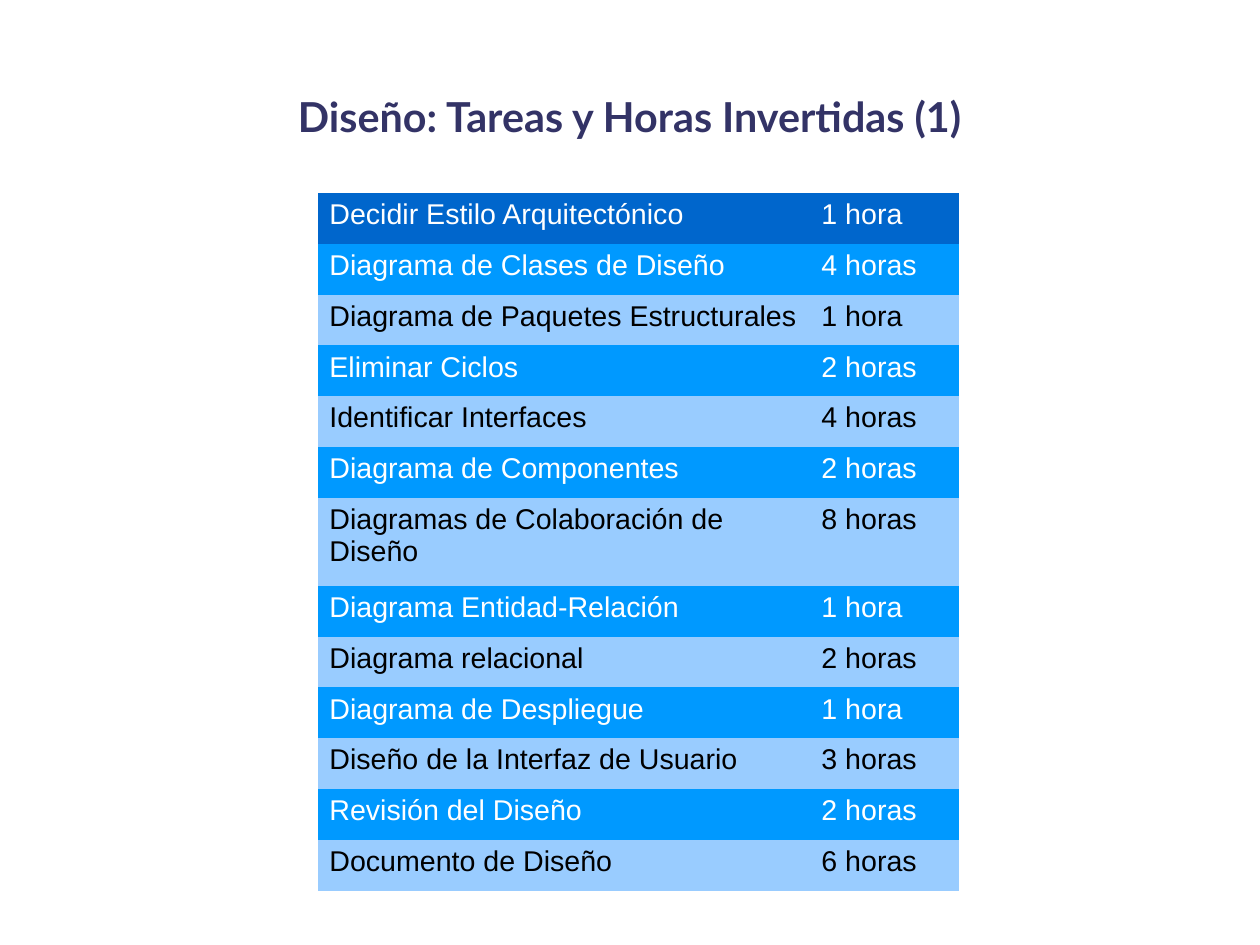
from dataclasses import dataclass

from pptx import Presentation
from pptx.dml.color import RGBColor
from pptx.enum.text import MSO_ANCHOR, PP_ALIGN
from pptx.oxml.ns import qn
from pptx.util import Pt

TITLE = "Diseño: Tareas y Horas Invertidas (1)"
TASKS = [
    ("Decidir Estilo Arquitectónico", "1 hora"),
    ("Diagrama de Clases de Diseño", "4 horas"),
    ("Diagrama de Paquetes Estructurales", "1 hora"),
    ("Eliminar Ciclos", "2 horas"),
    ("Identificar Interfaces", "4 horas"),
    ("Diagrama de Componentes", "2 horas"),
    ("Diagramas de Colaboración de Diseño", "8 horas"),
    ("Diagrama Entidad-Relación", "1 hora"),
    ("Diagrama relacional", "2 horas"),
    ("Diagrama de Despliegue", "1 hora"),
    ("Diseño de la Interfaz de Usuario", "3 horas"),
    ("Revisión del Diseño", "2 horas"),
    ("Documento de Diseño", "6 horas"),
]
TWO_LINE_ROW = 6

PX = 8000  # EMU
SLIDE = (1260, 945)
TITLE_BOX = (63, 43, 1134, 146)
TABLE_LEFT, TABLE_TOP, TABLE_HEIGHT = 318, 193, 698
COLUMNS = (492, 149)
TWO_LINE_HEIGHT = 88
NO_STYLE_NO_GRID = "{2D5ABB26-0587-4C30-8999-92F81FD0307C}"


@dataclass(frozen=True)
class Theme:
    title_font: str = "Lato"
    body_font: str = "Arial"
    title_size: int = 26
    body_size: int = 18
    title: str = "333366"
    header: str = "0066CC"
    dark_band: str = "0099FF"
    light_band: str = "99CCFF"
    on_dark: str = "FFFFFF"
    on_light: str = "000000"


THEME = Theme()


def emu(*lengths):
    return [round(n * PX) for n in lengths]


def write(tf, text, *, font, size, color, bold=False, align=PP_ALIGN.LEFT):
    p = tf.paragraphs[0]
    p.alignment = align
    r = p.add_run()
    r.text = text
    r.font.name = font
    r.font.size = Pt(size)
    r.font.bold = bold
    r.font.color.rgb = RGBColor.from_string(color)


def row_colors(row):
    """Return the fill and text colours of a table row."""
    if row == 0:
        return THEME.header, THEME.on_dark
    if row % 2:
        return THEME.dark_band, THEME.on_dark
    return THEME.light_band, THEME.on_light


def add_title(slide):
    s = slide.shapes.title
    s.left, s.top, s.width, s.height = emu(*TITLE_BOX)
    tf = s.text_frame
    tf.margin_left = tf.margin_right = tf.margin_top = tf.margin_bottom = 0
    tf.vertical_anchor = MSO_ANCHOR.MIDDLE
    tf.word_wrap = True
    write(tf, TITLE, font=THEME.title_font, size=THEME.title_size,
          color=THEME.title, bold=True, align=PP_ALIGN.CENTER)


def add_task_table(slide):
    box = emu(TABLE_LEFT, TABLE_TOP, sum(COLUMNS), TABLE_HEIGHT)
    table = slide.shapes.add_table(len(TASKS), len(COLUMNS), *box).table
    table.first_row = table.horz_banding = False
    style = next(table._tbl.iter(qn("a:tableStyleId")))
    style.text = NO_STYLE_NO_GRID

    for column, width in zip(table.columns, emu(*COLUMNS)):
        column.width = width
    line_height = (TABLE_HEIGHT - TWO_LINE_HEIGHT) / (len(TASKS) - 1)
    for i, task in enumerate(TASKS):
        height = TWO_LINE_HEIGHT if i == TWO_LINE_ROW else line_height
        table.rows[i].height = emu(height)[0]
        fill, color = row_colors(i)
        for cell, text in zip(table.rows[i].cells, task):
            cell.fill.solid()
            cell.fill.fore_color.rgb = RGBColor.from_string(fill)
            write(cell.text_frame, text, font=THEME.body_font,
                  size=THEME.body_size, color=color)


def main():
    prs = Presentation()
    prs.slide_width, prs.slide_height = emu(*SLIDE)
    slide = prs.slides.add_slide(prs.slide_layouts[5])
    add_title(slide)
    add_task_table(slide)
    prs.save("out.pptx")


if __name__ == "__main__":
    main()
